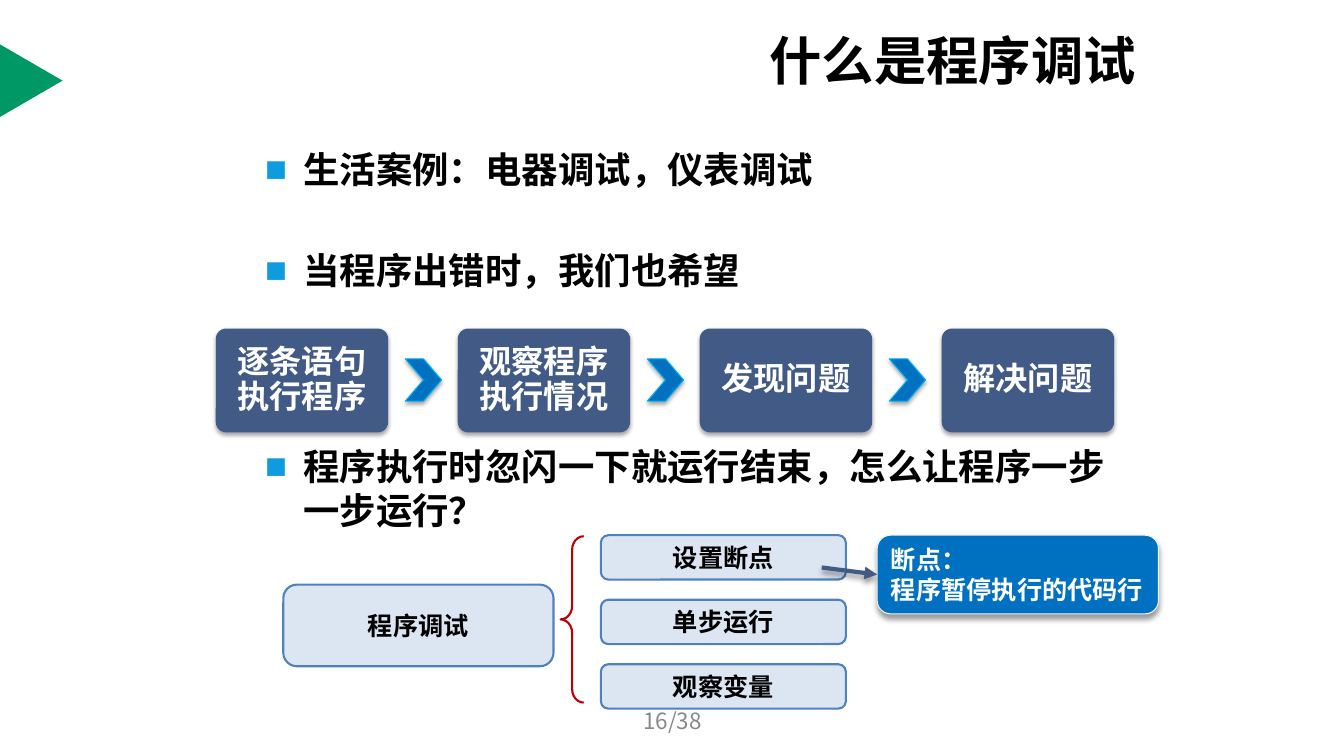
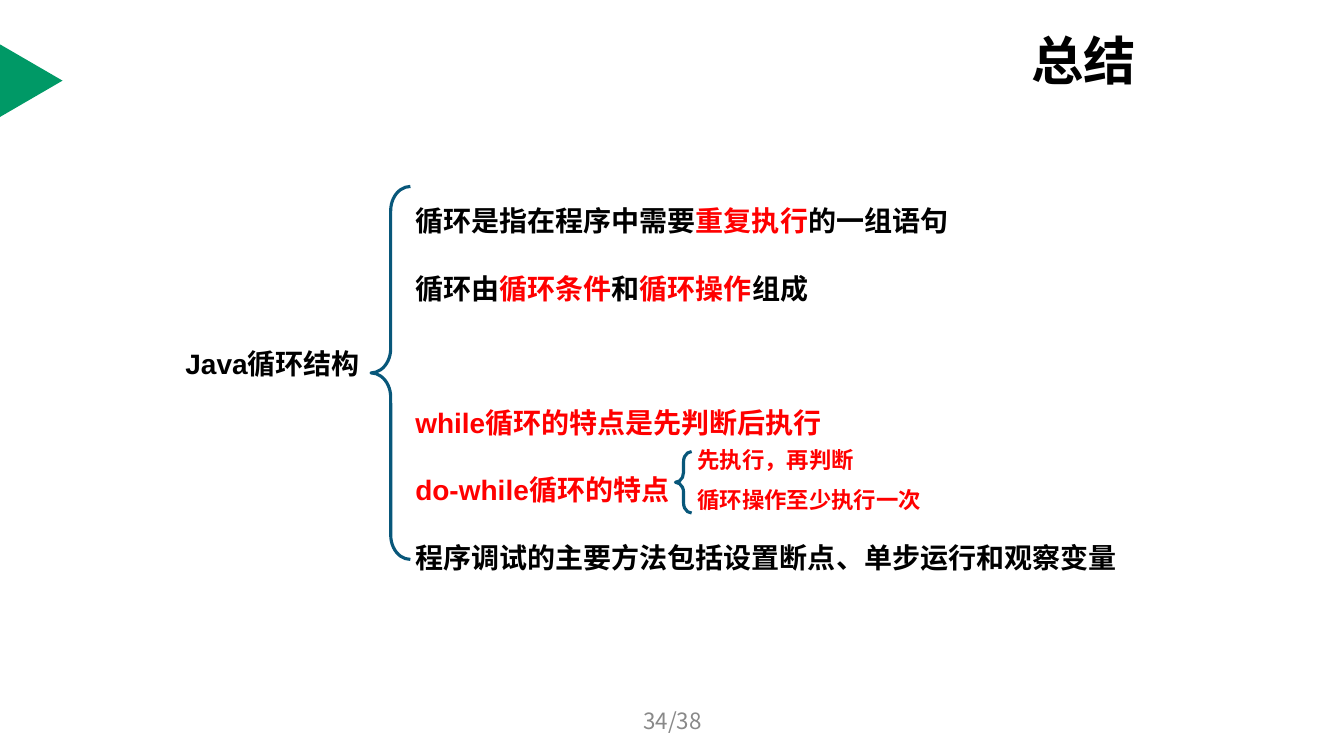
from lxml.etree import SubElement
from pptx import Presentation
from pptx.dml.color import RGBColor
from pptx.enum.lang import MSO_LANGUAGE_ID as Language
from pptx.enum.shapes import MSO_CONNECTOR as Connector, MSO_SHAPE as Shape
from pptx.enum.text import MSO_ANCHOR as Anchor, PP_ALIGN as Align
from pptx.oxml.ns import qn
from pptx.util import Inches, Pt

LATIN, CHINESE = "Arial", "Noto Sans CJK SC"
BLACK, WHITE, RED, GRAY = "000000", "FFFFFF", "FF0000", "898989"
GREEN, NAVY, BLUE, CYAN = "009966", "415A86", "0070C0", "00B0F0"
BULLET, PALE, EDGE = "0E9CDE", "DCE6F2", "4F81BD"
DARK_RED, TEAL, OFF_WHITE = "C00000", "08577A", "F2F2F2"
SOFT_SHADOW = (35, 3.1, 1.8)
DEEP_SHADOW = (40, 4, 3)
PAGE_COUNT = 38


def color(value):
    return RGBColor.from_string(value)


def inches(*lengths):
    return [Inches(length) for length in lengths]


def add_text(frame, paragraphs, size, ink=BLACK, font=LATIN, bold=True,
             anchor=Anchor.TOP, **para_format):
    """Each paragraph is a string or a list of (text, colour) spans."""
    frame.word_wrap = True
    frame.vertical_anchor = anchor
    for index, content in enumerate(paragraphs):
        para = frame.paragraphs[0] if index == 0 else frame.add_paragraph()
        for name, value in para_format.items():
            setattr(para, name, value)
        spans = [(content, ink)] if isinstance(content, str) else content
        for text, span_ink in spans:
            span = para.add_run()
            span.text = text
            values = {"size": Pt(size), "bold": bold, "name": font,
                      "language_id": Language.SIMPLIFIED_CHINESE}
            for name, value in values.items():
                setattr(span.font, name, value)
            span.font.color.rgb = color(span_ink)
            SubElement(span.font._element, qn("a:ea"), typeface=font)
    return frame


def add_label(page, area, paragraphs, size, **text_format):
    box = page.shapes.add_textbox(*inches(*area))
    return add_text(box.text_frame, paragraphs, size, **text_format)


def add_shadow(effects, opacity, blur, distance):
    shadow = SubElement(effects, qn("a:outerShdw"), blurRad=str(Pt(blur)),
                        dist=str(Pt(distance)), dir="5400000", rotWithShape="0")
    shade = SubElement(shadow, qn("a:srgbClr"), val=BLACK)
    SubElement(shade, qn("a:alpha"), val=str(opacity * 1000))


def add_figure(page, kind, area, fill=None, line=None, width=1.5,
               adjust=(), shadow=None):
    figure = page.shapes.add_shape(kind, *inches(*area))
    for index, value in enumerate(adjust):
        figure.adjustments[index] = value
    if fill:
        figure.fill.solid()
        figure.fill.fore_color.rgb = color(fill)
    else:
        figure.fill.background()
    if line:
        figure.line.color.rgb = color(line)
        figure.line.width = Pt(width)
    else:
        figure.line.fill.background()
    figure.shadow.inherit = False
    if shadow:
        add_shadow(figure._element.spPr.find(qn("a:effectLst")), *shadow)
    return figure


def add_brace(page, area, line, width, bend):
    add_figure(page, Shape.LEFT_BRACE, area, None, line, width, (bend, 0.5))


def add_topic(page, area, text):
    topic = add_figure(page, Shape.ROUNDED_RECTANGLE, area, PALE, EDGE)
    add_text(topic.text_frame, [text], 18, font=CHINESE,
             anchor=Anchor.MIDDLE, alignment=Align.CENTER)


def add_arrow(page, start, target, side):
    arrow = page.shapes.add_connector(Connector.STRAIGHT, *inches(*start, *start))
    arrow.end_connect(target, side)
    arrow.line.color.rgb = color(NAVY)
    arrow.line.width = Pt(3)
    SubElement(arrow.line._get_or_add_ln(), qn("a:tailEnd"), type="triangle")
    add_shadow(SubElement(arrow._element.spPr, qn("a:effectLst")), *DEEP_SHADOW)


def add_bullets(page, area, items):
    """Items are (text, points of space above)."""
    frame = add_label(page, area, [text for text, _ in items], 26)
    for para, (_, space) in zip(frame.paragraphs, items):
        para.space_before = Pt(space)
        props = para._p.get_or_add_pPr()
        props.set("marL", str(Inches(0.38)))
        props.set("indent", str(Inches(-0.38)))
        tint = SubElement(props, qn("a:buClr"))
        SubElement(tint, qn("a:srgbClr"), val=BULLET)
        SubElement(props, qn("a:buFont"), typeface=LATIN)
        SubElement(props, qn("a:buChar"), char="■")


def add_process(page, steps):
    left, top, pitch = 2.14, 3.26, 2.4
    for index, step in enumerate(steps):
        x = left + index * pitch
        card = add_figure(page, Shape.ROUNDED_RECTANGLE, (x, top, 1.71, 1.03),
                          NAVY, adjust=[0.1], shadow=SOFT_SHADOW)
        add_text(card.text_frame, [step], 23, WHITE, anchor=Anchor.MIDDLE,
                 alignment=Align.CENTER, line_spacing=0.9)
        if index < len(steps) - 1:
            add_figure(page, Shape.CHEVRON, (x + 1.88, top + 0.3, 0.36, 0.42),
                       BLUE, CYAN, 0.75, shadow=SOFT_SHADOW)


def add_page(deck, title, number):
    page = deck.slides.add_slide(deck.slide_layouts[6])
    marker = add_figure(page, Shape.ISOSCELES_TRIANGLE,
                        (-0.05, 0.49, 0.72, 0.62), GREEN)
    marker.rotation = 90
    add_label(page, (7.37, 0.31, 4, 0.57), [title], 37.4, font=CHINESE,
              anchor=Anchor.MIDDLE, alignment=Align.RIGHT)
    add_label(page, (4.56, 6.95, 4.22, 0.4), [f"{number}/{PAGE_COUNT}"], 16,
              ink=GRAY, font=CHINESE, bold=False, anchor=Anchor.MIDDLE,
              alignment=Align.CENTER)
    return page


def build_debugging(deck):
    page = add_page(deck, "什么是程序调试", 16)
    add_bullets(page, (2.53, 1.41, 8.82, 3.78), [
        ("生活案例：电器调试，仪表调试", 0),
        ("当程序出错时，我们也希望", 41),
        ("程序执行时忽闪一下就运行结束，怎么让程序一步一步运行？", 109)])
    add_process(page, ["逐条语句执行程序", "观察程序执行情况", "发现问题", "解决问题"])

    add_topic(page, (2.81, 5.8, 2.68, 0.81), "程序调试")
    add_brace(page, (5.56, 5.32, 0.23, 1.65), DARK_RED, 1.5, 0.58)
    for index, method in enumerate(["设置断点", "单步运行", "观察变量"]):
        add_topic(page, (5.96, 5.31 + index * 0.64, 2.43, 0.44), method)

    callout = add_figure(page, Shape.ROUNDED_RECTANGULAR_CALLOUT,
                         (8.7, 5.31, 2.79, 0.78), BLUE, OFF_WHITE, 0.75,
                         (-0.5, -0.19, 0.17), DEEP_SHADOW)
    add_text(callout.text_frame, ["断点：", "程序暂停执行的代码行"], 18, WHITE,
             anchor=Anchor.MIDDLE, alignment=Align.LEFT)
    add_arrow(page, (8.15, 5.63), callout, 1)


def build_summary(deck):
    page = add_page(deck, "总结", 34)
    points = add_label(page, (4.02, 1.64, 7.18, 4.48), [
        [("循环是指在程序中需要", BLACK), ("重复执行", RED), ("的一组语句", BLACK)],
        [("循环由", BLACK), ("循环条件", RED), ("和", BLACK),
         ("循环操作", RED), ("组成", BLACK)],
        [("while循环的特点是先判断后执行", RED)],
        [("do-while循环的特点", RED)],
        "程序调试的主要方法包括设置断点、单步运行和观察变量"],
        20, line_spacing=2.0)
    points.paragraphs[2].space_before = Pt(48)
    add_label(page, (1.71, 3.39, 1.99, 0.44), ["Java循环结构"], 20,
              alignment=Align.CENTER)
    add_brace(page, (3.68, 1.85, 0.39, 3.7), TEAL, 2.25, 0.62)
    add_brace(page, (6.7, 4.48, 0.16, 0.61), TEAL, 2.25, 0.62)
    traits = add_label(page, (6.82, 4.38, 2.97, 0.77),
                       ["先执行，再判断", "循环操作至少执行一次"], 16, ink=RED)
    traits.paragraphs[1].space_before = Pt(9)


def main():
    deck = Presentation()
    deck.slide_width, deck.slide_height = inches(13.33, 7.5)
    build_debugging(deck)
    build_summary(deck)
    deck.save("out.pptx")


if __name__ == "__main__":
    main()
